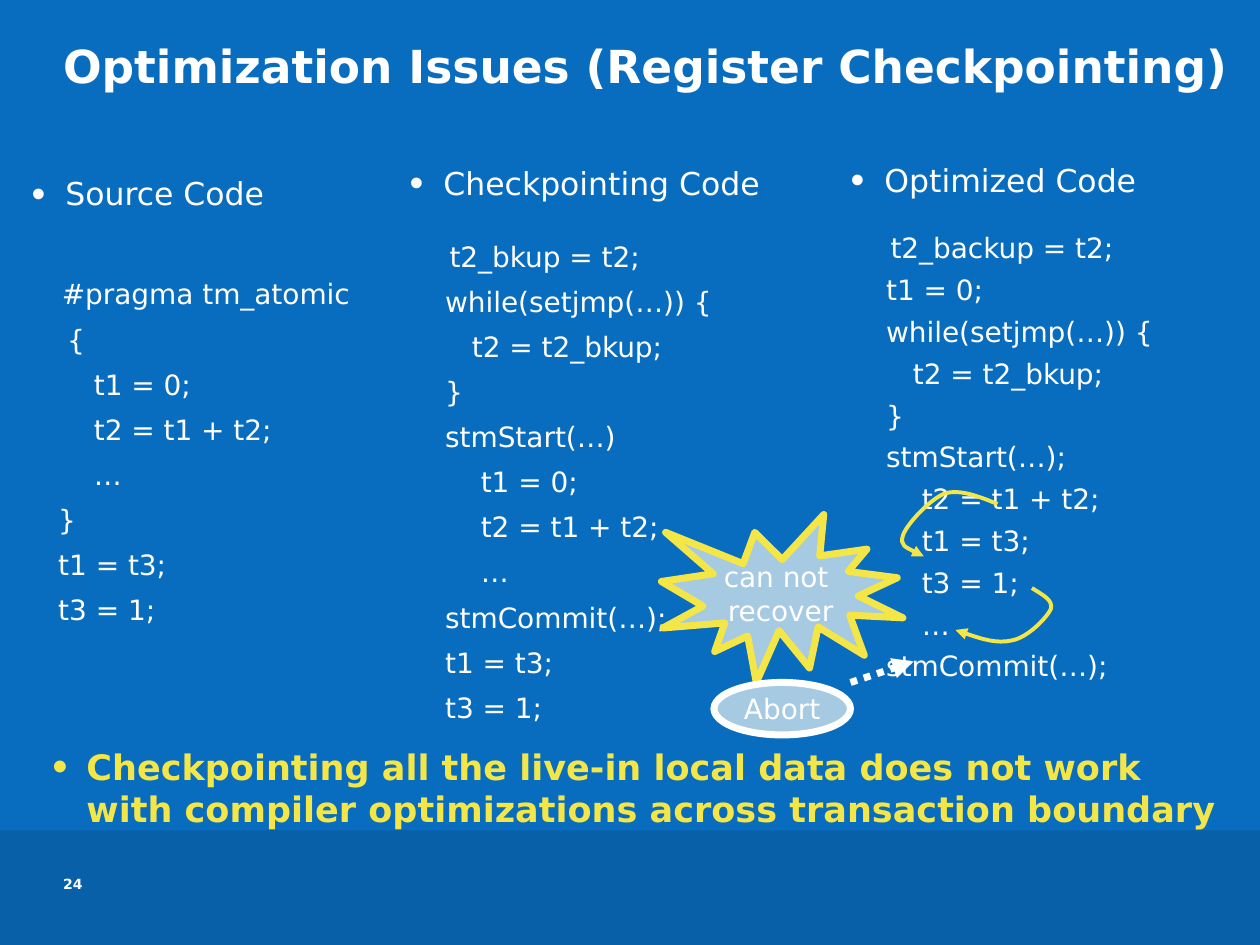
from dataclasses import dataclass
from typing import Any

from lxml.etree import SubElement
from pptx import Presentation
from pptx.dml.color import RGBColor
from pptx.enum.dml import MSO_LINE
from pptx.enum.shapes import MSO_CONNECTOR, MSO_SHAPE
from pptx.enum.text import MSO_ANCHOR, MSO_AUTO_SIZE, PP_ALIGN
from pptx.oxml.ns import qn
from pptx.util import Pt

BLUE, BAND, PALE = "096DBF", "0860A8", "A6CAE1"
WHITE, YELLOW = "FFFFFF", "F5E647"
HANGING = 19.4
CODE_STEP = 5.09  # one column of 16 pt code

SOURCE_CODE = [
    (3.4, "#pragma tm_atomic"), (4, "{"), (7, "t1 = 0;"), (7, "t2 = t1 + t2;"),
    (7, "…"), (3, "}"), (3, "t1 = t3;"), (3, "t3 = 1;"),
]
CHECKPOINTING_CODE = [
    (4.5, "t2_bkup = t2;"), (4, "while(setjmp(…)) {"), (7, "t2 = t2_bkup;"),
    (4, "}"), (4, "stmStart(…)"), (8, "t1 = 0;"), (8, "t2 = t1 + t2;"),
    (8, "…"), (4, "stmCommit(…);"), (4, "t1 = t3;"), (4, "t3 = 1;"),
]
OPTIMIZED_CODE = [
    (4.5, "t2_backup = t2;"), (4, "t1 = 0;"), (4, "while(setjmp(…)) {"),
    (7, "t2 = t2_bkup;"), (4, "}"), (4, "stmStart(…);"), (8, "t2 = t1 + t2;"),
    (8, "t1 = t3;"), (8, "t3 = 1;"), (8, "…"), (4, "stmCommit(…);"),
]


def rgb(value):
    return RGBColor.from_string(value)


def write(paragraph, text, size=16, color=WHITE, bold=False, font="DejaVu Sans",
          align=PP_ALIGN.LEFT, spacing=1.0, before=0):
    paragraph.alignment = align
    paragraph.line_spacing = spacing
    paragraph.space_before = Pt(before)
    run = paragraph.add_run()
    run.text = text
    run.font.name, run.font.size, run.font.bold = font, Pt(size), bold
    run.font.color.rgb = rgb(color)


def indent(paragraph, left, bullet_color=None):
    """Set the left margin, with a hanging bullet if a bullet colour is given."""
    properties = paragraph._p.get_or_add_pPr()
    properties.set("marL", str(Pt(left)))
    properties.set("indent", str(Pt(-left if bullet_color else 0)))
    if bullet_color:
        color = SubElement(properties, qn("a:buClr"))
        SubElement(color, qn("a:srgbClr"), val=bullet_color)
        SubElement(properties, qn("a:buSzPct"), val="125000")
        SubElement(properties, qn("a:buChar"), char="•")
    else:
        SubElement(properties, qn("a:buNone"))


def add_arrowhead(line, end):
    SubElement(line._get_or_add_ln(), qn(f"a:{end}"), type="triangle")


@dataclass
class SlideBuilder:
    slide: Any

    def frame(self, holder, left, top, width, height):
        """Place a text holder and return its frame without margins."""
        holder.left, holder.top = Pt(left), Pt(top)
        holder.width, holder.height = Pt(width), Pt(height)
        frame = holder.text_frame
        frame.word_wrap = True
        frame.auto_size = MSO_AUTO_SIZE.NONE
        frame.vertical_anchor = MSO_ANCHOR.TOP
        frame.margin_left = frame.margin_right = 0
        frame.margin_top = frame.margin_bottom = 0
        return frame

    def title(self, text, *box):
        frame = self.frame(self.slide.shapes.title, *box)
        write(frame.paragraphs[0], text, size=26, bold=True)

    def bullet(self, index, text, box, color=WHITE, **style):
        frame = self.frame(self.slide.placeholders[index], *box)
        heading = frame.paragraphs[0]
        write(heading, text, color=color, **style)
        indent(heading, HANGING, color)
        return frame

    def code_column(self, index, heading, code, box, spacing, first_spacing, gap):
        frame = self.bullet(index, heading, box, size=18, spacing=spacing)
        for number, (depth, text) in enumerate(code):
            line = frame.add_paragraph()
            if number == 0:
                write(line, text, spacing=first_spacing, before=gap)
            else:
                write(line, text, spacing=spacing, before=8.5)
            indent(line, depth * CODE_STEP)

    def label(self, text, *box, **style):
        holder = self.slide.shapes.add_textbox(0, 0, 0, 0)
        write(self.frame(holder, *box).paragraphs[0], text, **style)

    def shape(self, kind, left, top, width, height, fill, outline=None, lines=()):
        shape = self.slide.shapes.add_shape(
            kind, Pt(left), Pt(top), Pt(width), Pt(height))
        shape.shadow.inherit = False
        shape.fill.solid()
        shape.fill.fore_color.rgb = rgb(fill)
        if outline:
            shape.line.color.rgb = rgb(outline)
            shape.line.width = Pt(4)
        else:
            shape.line.fill.background()
        frame = shape.text_frame
        frame.word_wrap = False
        frame.vertical_anchor = MSO_ANCHOR.MIDDLE
        for number, text in enumerate(lines):
            paragraph = frame.add_paragraph() if number else frame.paragraphs[0]
            write(paragraph, text, align=PP_ALIGN.CENTER)
        return shape

    def band(self, *box):
        band = self.shape(MSO_SHAPE.RECTANGLE, *box, BAND)
        self.slide.shapes._spTree.insert(2, band._element)

    def curve(self, start, *points):
        """Draw a curve whose points come in threes: two controls and an end."""
        builder = self.slide.shapes.build_freeform(Pt(start[0]), Pt(start[1]))
        builder.add_line_segments([(Pt(x), Pt(y)) for x, y in points], close=False)
        curve = builder.convert_to_shape()
        outline = next(curve._element.iter(qn("a:path")))
        segments = outline.findall(qn("a:lnTo"))
        for first in range(0, len(segments), 3):
            bezier = SubElement(outline, qn("a:cubicBezTo"))
            for segment in segments[first:first + 3]:
                bezier.append(segment[0])
                outline.remove(segment)
        curve.shadow.inherit = False
        curve.fill.background()
        curve.line.color.rgb = rgb(YELLOW)
        curve.line.width = Pt(2.25)
        add_arrowhead(curve.line, "headEnd")

    def dotted_arrow(self, x1, y1, x2, y2):
        arrow = self.slide.shapes.add_connector(
            MSO_CONNECTOR.STRAIGHT, Pt(x1), Pt(y1), Pt(x2), Pt(y2))
        arrow.line.color.rgb = rgb(WHITE)
        arrow.line.width = Pt(4)
        arrow.line.dash_style = MSO_LINE.ROUND_DOT
        add_arrowhead(arrow.line, "tailEnd")
        SubElement(arrow._element.spPr, qn("a:effectLst"))


def main():
    deck = Presentation()
    deck.slide_width, deck.slide_height = Pt(720), Pt(540)
    comparison_layout = deck.slide_layouts[4]
    slide = deck.slides.add_slide(comparison_layout)
    slide.background.fill.solid()
    slide.background.fill.fore_color.rgb = rgb(BLUE)

    page = SlideBuilder(slide)
    page.band(0, 474.5, 720, 65.5)
    page.title("Optimization Issues (Register Checkpointing)", 36, 21.6, 684, 70)
    page.bullet(1, "Checkpointing all the live-in local data does not work "
                "with compiler optimizations across transaction boundary",
                (30, 426, 678, 60), color=YELLOW, size=20, bold=True)
    page.code_column(2, "Checkpointing Code", CHECKPOINTING_CODE,
                     (234, 96, 204, 318), 0.9, 1.5, 12)
    page.code_column(3, "Source Code", SOURCE_CODE,
                     (18, 102, 198, 270), 0.9, 0.9, 39)
    page.code_column(4, "Optimized Code", OPTIMIZED_CODE,
                     (486, 96, 216, 312), 0.8, 1.4, 11)

    page.curve((528, 318), (521.3, 314.6), (514, 311.8), (516, 306),
               (517.7, 300.2), (531.4, 285.1), (540, 282),
               (548.6, 279.4), (559.4, 283.7), (570, 288))
    page.curve((546, 360), (558, 364.3), (569.5, 367.9), (578.2, 366),
               (587.5, 364.3), (598.3, 352.8), (600.5, 348),
               (602, 342.7), (595.4, 339.8), (589.7, 336))
    page.shape(MSO_SHAPE.EXPLOSION1, 378, 294, 138, 96, PALE, YELLOW,
               ["can not ", "recover"])
    page.shape(MSO_SHAPE.OVAL, 408, 390, 78, 30, PALE, WHITE, ["Abort"])
    page.dotted_arrow(486, 390, 522, 378)
    page.label("24", 36, 500.4, 32, 24, size=8, bold=True)
    deck.save("out.pptx")


if __name__ == "__main__":
    main()
